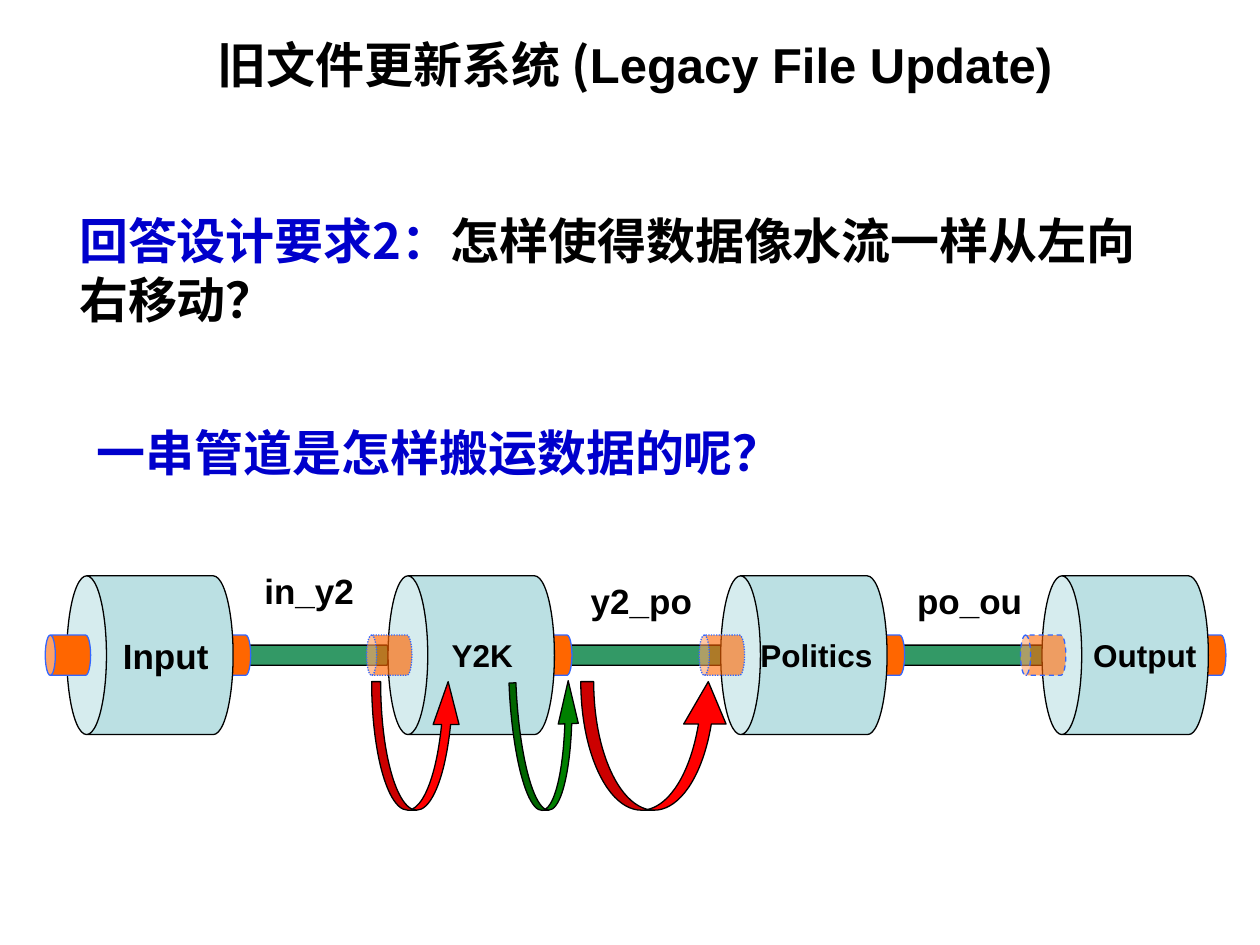
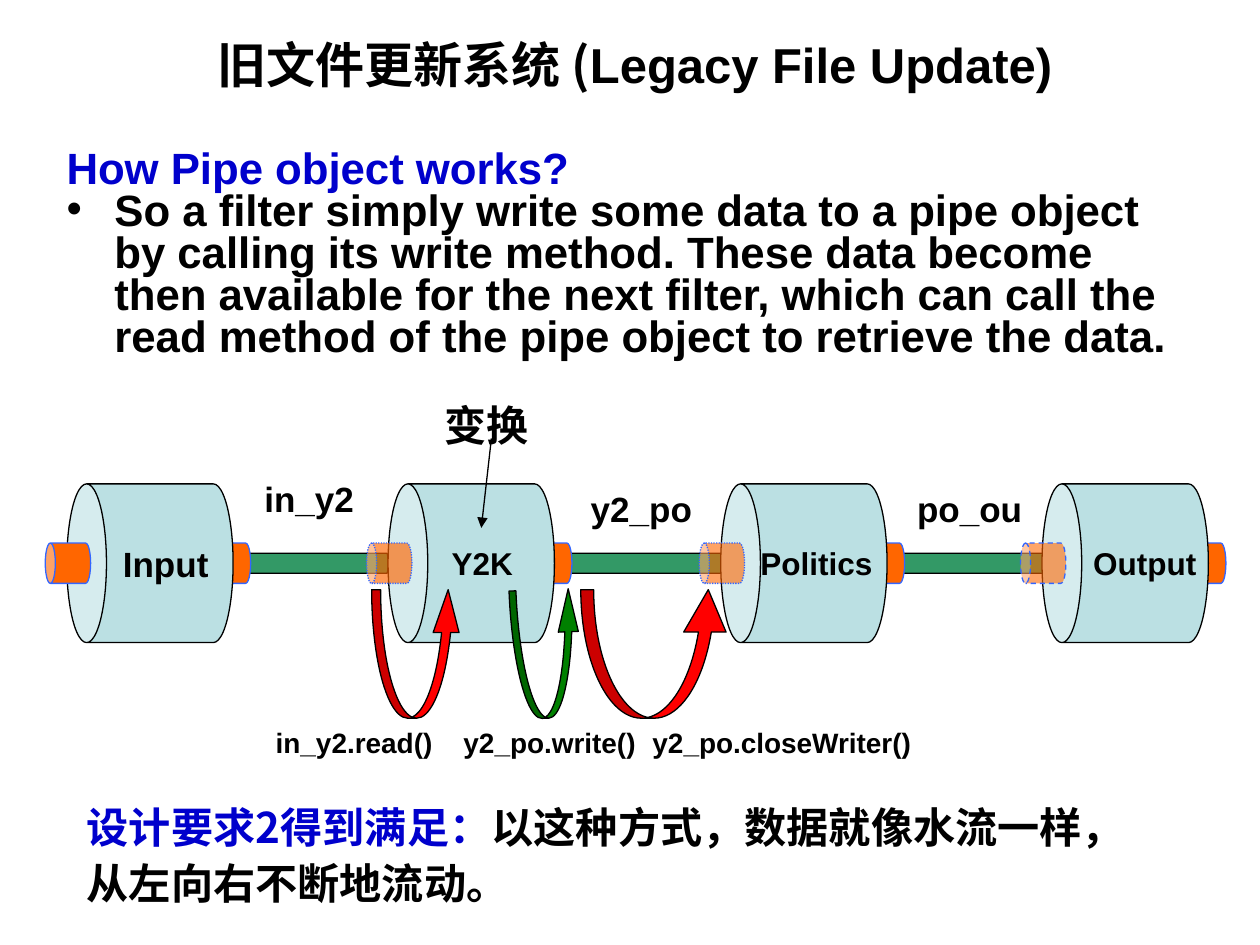
from lxml import etree
from pptx import Presentation
from pptx.dml.color import RGBColor
from pptx.enum.dml import MSO_LINE
from pptx.enum.shapes import MSO_CONNECTOR, MSO_SHAPE
from pptx.enum.text import MSO_ANCHOR, PP_ALIGN
from pptx.oxml.ns import qn
from pptx.util import Inches, Pt

CAN, CURVED_ARROW = MSO_SHAPE.CAN, MSO_SHAPE.CURVED_UP_ARROW
STRAIGHT = MSO_CONNECTOR.STRAIGHT
DOTTED, DASHED = MSO_LINE.ROUND_DOT, MSO_LINE.DASH
CENTER, LEFT, MIDDLE = PP_ALIGN.CENTER, PP_ALIGN.LEFT, MSO_ANCHOR.MIDDLE

COLORS = {
    "ink": "000000", "blue": "0000CC", "filter": "BBE0E3", "pipe": "339966",
    "port": "FF6600", "port_line": "3366FF", "read": "FF0000", "write": "008000",
}
COLORS = {name: RGBColor.from_string(value) for name, value in COLORS.items()}
LATIN, CHINESE = "Arial", "Noto Sans CJK SC"
HANGING = 0.38
LABEL_WIDTH = 1.2

TITLE = [[("旧文件更新系统 (", "ink", CHINESE), ("Legacy File Update)", "ink", LATIN)]]

# Filter name, horizontal centre, text size, inset between lid and name
FILTERS = [("Input", 1.19, 20, 0.13), ("Y2K", 3.74, 18, 0.19),
           ("Politics", 6.38, 18, 0), ("Output", 8.93, 18, 0.09)]
# Opacity in percent and dash of the port entering each filter
ENTRY_PORTS = [(100, None), (65, DOTTED), (60, DOTTED), (59, DASHED)]
# Pipe name, pipe centre, pipe length, label left, label rise above axis
PIPES = [("in_y2", 2.49, 1.18, 2.0, 0.73),
         ("y2_po", 5.09, 1.46, 4.59, 0.65),
         ("po_ou", 7.72, 1.46, 7.18, 0.65)]
# Left, width, colour, rotation, adjustments (tail width, head width, head length)
CALL_ARROWS = [(2.95, 0.71, "read", 0, (0.1, 0.29, 0.48)),
               (4.06, 0.55, "write", -2.3, (0.1, 0.29, 0.62)),
               (4.61, 1.18, "read", 0, (0.1, 0.33, 0.33))]


def add_text(shapes, bounds, paragraphs, size, hanging=False, **formats):
    """Add a bold text box; each paragraph is a list of (text, colour, font)."""
    box = shapes.add_textbox(*map(Inches, bounds))
    frame = box.text_frame
    frame.word_wrap = True
    for number, spans in enumerate(paragraphs):
        para = frame.add_paragraph() if number else frame.paragraphs[0]
        for name, value in formats.items():
            setattr(para, name, value)
        if hanging:
            properties = para._p.get_or_add_pPr()
            properties.set("marL", str(Inches(HANGING)))
            properties.set("indent", str(-Inches(HANGING)))
        for text, color, font in spans:
            span = para.add_run()
            span.text = text
            for name, value in {"size": Pt(size), "bold": True, "name": font}.items():
                setattr(span.font, name, value)
            span.font.color.rgb = COLORS[color]
            east_asian = etree.SubElement(span._r.get_or_add_rPr(), qn("a:ea"))
            east_asian.set("typeface", font)
    return box


def add_outlined(shapes, kind, bounds, rotation, fill, line, adjustments):
    shape = shapes.add_shape(kind, *map(Inches, bounds))
    shape.rotation = rotation
    shape.shadow.inherit = False
    shape.fill.solid()
    shape.fill.fore_color.rgb = COLORS[fill]
    shape.line.color.rgb = COLORS[line]
    shape.line.width = Pt(0.75)
    for number, value in enumerate(adjustments):
        shape.adjustments[number] = value
    return shape


deck = Presentation()
deck.slide_width, deck.slide_height = Inches(10), Inches(7.5)
question_page, answer_page = [deck.slides.add_slide(deck.slide_layouts[6]) for _ in range(2)]

# Body text of the answer page lies behind the pipeline
body = add_text(
    answer_page.shapes, (0.43, 1.15, 9, 1.97),
    [[("How Pipe object works?", "blue", LATIN)],
     [("So a filter simply write some data to a pipe object by calling its write "
       "method. These data become then available for the next filter, which can call "
       "the read method of the pipe object to retrieve the data.", "ink", LATIN)]],
    25, hanging=True, line_spacing=0.8)
bullet_properties = body.text_frame.paragraphs[1]._p.get_or_add_pPr()
etree.SubElement(bullet_properties, qn("a:buFont")).set("typeface", LATIN)
etree.SubElement(bullet_properties, qn("a:buChar")).set("char", "•")

# Title, pipeline and call arrows on both pages
for page, axis in [(question_page, 5.2), (answer_page, 4.47)]:
    add_text(page.shapes, (0.51, 0.28, 9.06, 0.52), TITLE, 28,
             alignment=CENTER, line_spacing=0.9)
    pipeline = page.shapes.add_group_shape().shapes

    # Cans lie on their side: (centre, length, thickness, fill, line, lid)
    pipes = [(center, length, 0.16, "pipe", "ink", 0.1)
             for _, center, length, *_ in reversed(PIPES)]
    exits = [(center + 0.62, 0.36, 0.32, "port", "port_line", 0.25)
             for _, center, *_ in FILTERS]
    filters = [(center, 1.32, 1.26, "filter", "ink", 0.25) for _, center, *_ in FILTERS]
    entries = [(center - 0.65, 0.36, 0.32, "port", "port_line", 0.25)
               for _, center, *_ in FILTERS]
    cans = []
    for center, length, thickness, fill, line, lid in pipes + exits + filters + entries:
        bounds = (center - thickness / 2, axis - length / 2, thickness, length)
        cans.append(add_outlined(pipeline, CAN, bounds, 270, fill, line, [lid]))

    for can, (name, _, size, inset) in zip(cans[-8:-4], FILTERS):
        frame = can.text_frame
        layout = {"word_wrap": False, "vertical_anchor": MIDDLE,
                  "margin_left": Inches(0.05), "margin_right": Inches(0.05),
                  "margin_top": Inches(inset), "margin_bottom": 0}
        for attribute, value in layout.items():
            setattr(frame, attribute, value)
        # Vertical text reads level because the can is turned on its side
        frame._txBody.bodyPr.set("vert", "eaVert")
        para = frame.paragraphs[0]
        para.alignment = LEFT
        span = para.add_run()
        span.text = name
        for attribute, value in {"size": Pt(size), "bold": True, "name": LATIN}.items():
            setattr(span.font, attribute, value)
        span.font.color.rgb = COLORS["ink"]

    for can, (opacity, dash) in zip(cans[-4:], ENTRY_PORTS):
        if dash is not None:
            can.line.dash_style = dash
            color = can._element.spPr.find(qn("a:solidFill"))[0]
            etree.SubElement(color, qn("a:alpha")).set("val", str(opacity * 1000))

    for name, _, _, left, rise in PIPES:
        add_text(pipeline, (left, axis - rise, LABEL_WIDTH, 0.44),
                 [[(name, "ink", LATIN)]], 20)

    for left, width, color, rotation, adjustments in CALL_ARROWS:
        add_outlined(page.shapes, CURVED_ARROW, (left, axis + 0.21, width, 1.02),
                     rotation, color, "ink", adjustments)

# Questions
add_text(question_page.shapes, (0.67, 3.3, 6.33, 0.71),
         [[("一串管道是怎样搬运数据的呢？", "blue", CHINESE)]], 28, hanging=True)
add_text(question_page.shapes, (0.53, 1.62, 8.83, 1.04),
         [[("回答设计要求2：", "blue", CHINESE),
           ("怎样使得数据像水流一样从左向右移动？", "ink", CHINESE)]], 28)

# Method calls under the arrows
for call, left, width in [("in_y2.read()", 2.09, 1.5), ("y2_po.write()", 3.58, 1.58),
                          ("y2_po.closeWriter()", 5.08, 2.29)]:
    add_text(answer_page.shapes, (left, 5.71, width, 0.37), [[(call, "ink", LATIN)]], 16)

# Transformation note pointing into the Y2K filter
add_text(answer_page.shapes, (3.43, 3.12, 0.94, 0.5), [[("变换", "ink", CHINESE)]], 24)
pointer = answer_page.shapes.add_connector(
    STRAIGHT, *map(Inches, (3.9, 3.48, 3.82, 4.19)))
pointer.line.color.rgb = COLORS["ink"]
pointer.line.width = Pt(0.75)
etree.SubElement(pointer.line._get_or_add_ln(), qn("a:tailEnd")).set("type", "triangle")
etree.SubElement(pointer._element.spPr, qn("a:effectLst"))

# Conclusion
add_text(answer_page.shapes, (0.59, 6.27, 8.92, 1.02),
         [[("设计要求2得到满足：", "blue", CHINESE),
           ("以这种方式，数据就像水流一样，", "ink", CHINESE)],
          [("从左向右不断地流动。", "ink", CHINESE)]],
         24.1, hanging=True, line_spacing=1.1)

deck.save("out.pptx")
